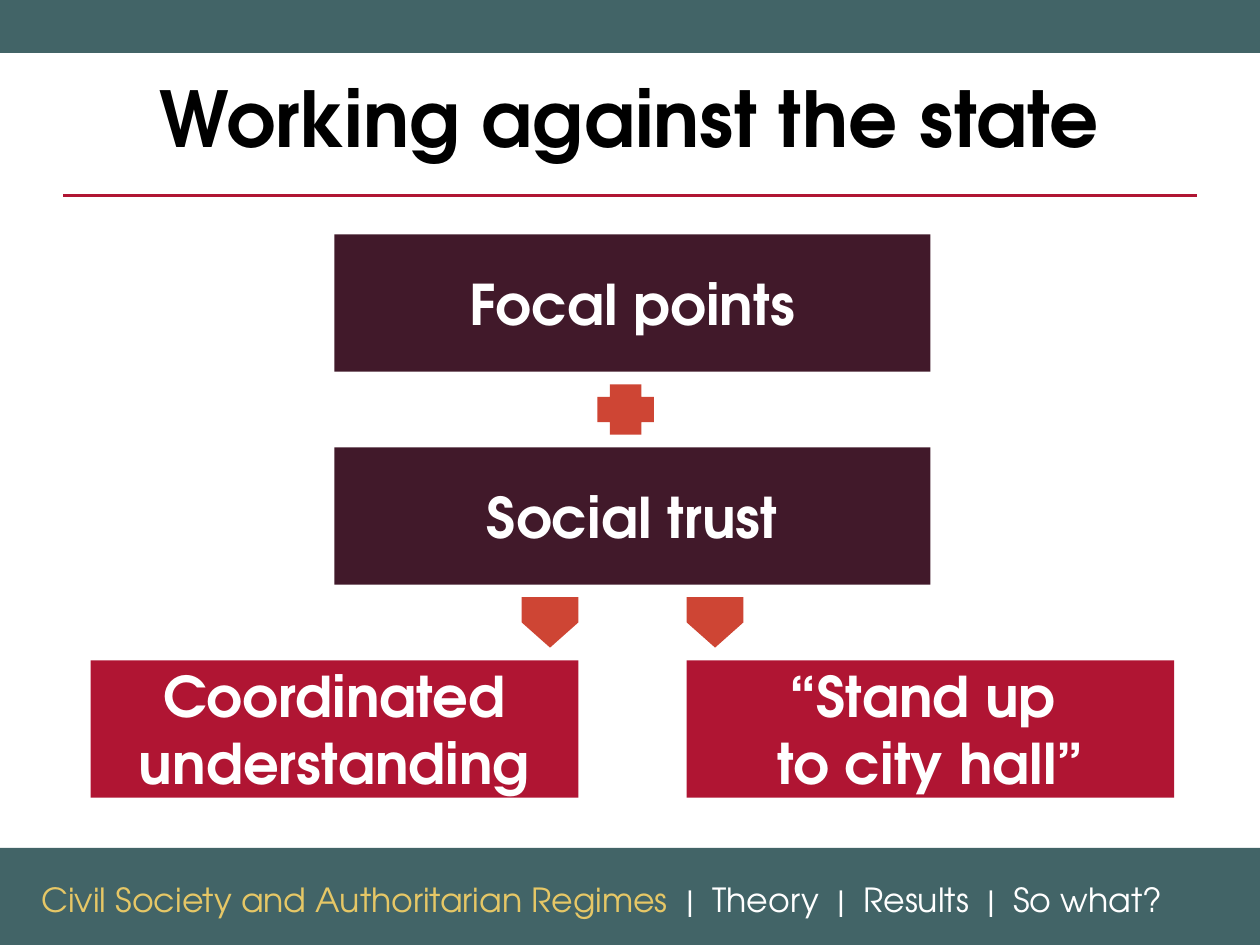
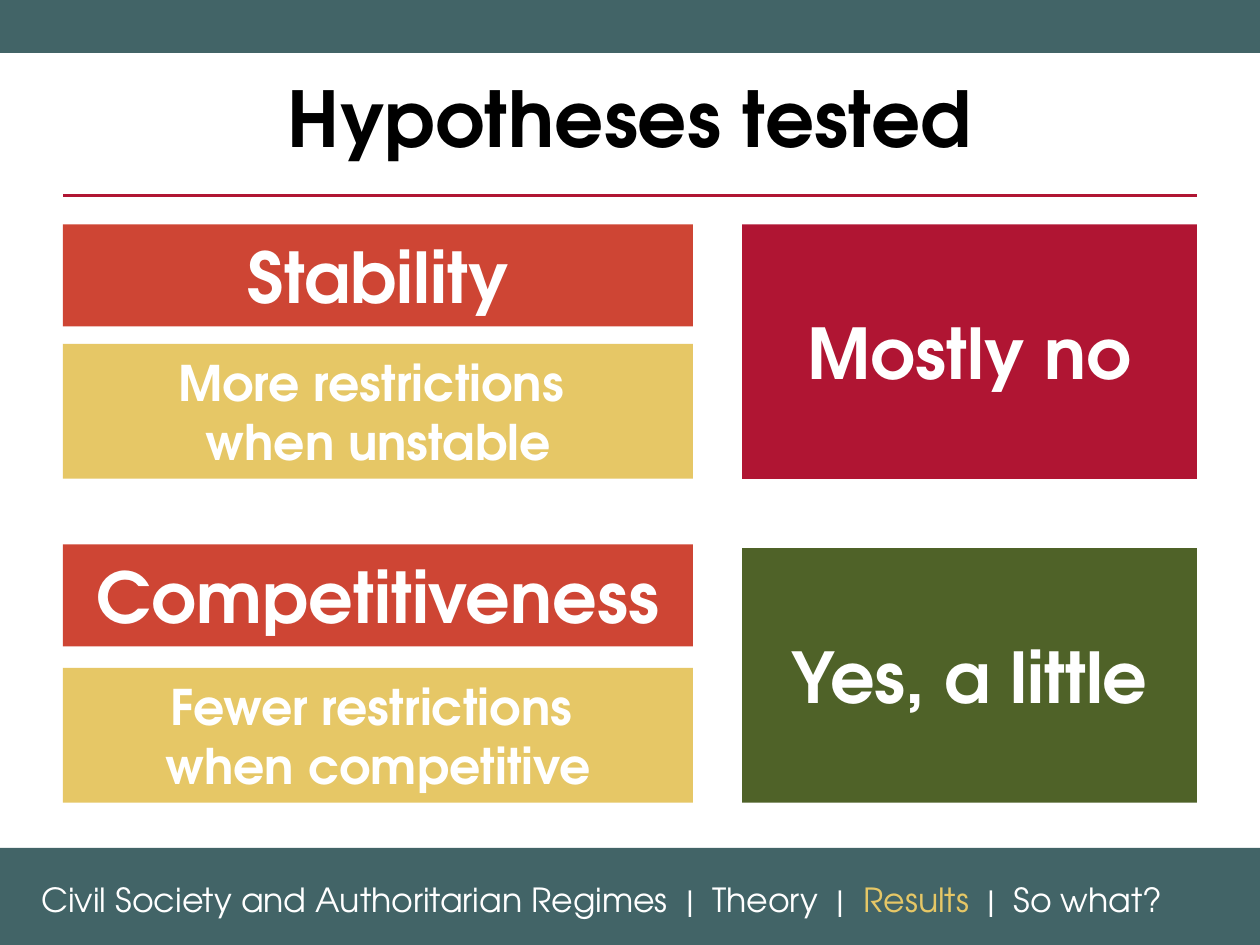
from pptx import Presentation
from pptx import util as u
from pptx.dml.color import RGBColor
from pptx.enum import shapes, text
from pptx.oxml.ns import qn
from lxml import etree

W, H = 10, 7.5
EDGE = 0.05 * W          # side margin
FONT = "TeX Gyre Adventor"
SEP = "  |  "
TEAL, RED, PLUM, RUST = "426467", "B01533", "41192A", "CE4534"
GOLD, GREEN, WHITE, BLACK = "E6C766", "4F6228", "FFFFFF", "000000"
PARTS = ["Civil Society and Authoritarian Regimes", "Theory", "Results", "So what?"]
KIND = shapes.MSO_SHAPE

deck = Presentation()
deck.slide_width, deck.slide_height = u.Inches(W), u.Inches(H)


def write(shape, runs, size, bold=True, align=text.PP_ALIGN.CENTER):
    """Fill a shape with one paragraph of (words, colour) runs."""
    frame = shape.text_frame
    frame.word_wrap = True
    frame.vertical_anchor = text.MSO_ANCHOR.MIDDLE
    para = frame.paragraphs[0]
    para.alignment = align
    for words, tint in runs:
        for i, line in enumerate(words.split("\n")):
            if i:
                para.add_line_break()
            run = para.add_run()
            run.text = line
            look = {"name": FONT, "size": u.Pt(size), "bold": bold}
            for key, value in look.items():
                setattr(run.font, key, value)
            run.font.color.rgb = RGBColor.from_string(tint)


def block(slide, box, fill, words="", size=32, kind=KIND.RECTANGLE, turn=0):
    """Add a flat, borderless shape with white bold text."""
    shape = slide.shapes.add_shape(kind, *map(u.Inches, box))
    shape.shadow.inherit = False
    shape.fill.solid()
    shape.fill.fore_color.rgb = RGBColor.from_string(fill)
    shape.line.fill.background()
    shape.rotation = turn
    if words:
        write(shape, [(words, WHITE)], size)


# Shared frame: bands, rule, title and footer with the current part in gold
pages = []
for title, now in [("Working against the state", PARTS[0]),
                   ("Hypotheses tested", PARTS[2])]:
    slide = deck.slides.add_slide(deck.slide_layouts[6])
    pages.append(slide)
    block(slide, (0, 6.73, W, H - 6.73), TEAL)
    block(slide, (0, 0, W, 0.42), TEAL)

    ends = map(u.Inches, (EDGE, 1.55, W - EDGE, 1.55))
    rule = slide.shapes.add_connector(shapes.MSO_CONNECTOR.STRAIGHT, *ends)
    rule.line.color.rgb = RGBColor.from_string(RED)
    rule.line.width = u.Pt(2)
    etree.SubElement(rule._element.spPr, qn("a:effectLst"))

    head = slide.shapes.add_textbox(*map(u.Inches, (EDGE, 0.3, W - 2 * EDGE, 1.25)))
    write(head, [(title, BLACK)], 44)

    foot = slide.shapes.add_textbox(*map(u.Inches, (0.23, 6.93, 9.56, 0.42)))
    runs = []
    for part in PARTS:
        if runs:
            runs.append((SEP, WHITE))
        runs.append((part, GOLD if part == now else WHITE))
    write(foot, runs, 19, False, text.PP_ALIGN.LEFT)
    look = {"word_wrap": False, "vertical_anchor": text.MSO_ANCHOR.TOP,
            "auto_size": text.MSO_AUTO_SIZE.SHAPE_TO_FIT_TEXT}
    for key, value in look.items():
        setattr(foot.text_frame, key, value)

flow, tests = pages

# Flow: two causes stacked over two outcomes
top, step, tall = 1.86, 1.69, 1.09
left, pitch, wide = 0.72, 4.73, 3.87
long, short = 0.45, 0.4   # sign width and height
mid = left + (pitch + wide) / 2
gap = (step - tall - short) / 2

for row, words in enumerate(["Focal points", "Social trust"]):
    block(flow, (mid - pitch / 2, top + row * step, pitch, tall), PLUM, words)
block(flow, (4.74, top + tall + gap, long, short), RUST, kind=KIND.CROSS)

inner = [left + wide - long, left + pitch]   # arrows sit at the inner edges
shift = (long - short) / 2                   # the arrow frame is turned a quarter
for col, words in enumerate(["Coordinated understanding", "“Stand up \nto city hall”"]):
    block(flow, (left + col * pitch, top + 2 * step, wide, tall), RED, words)
    spot = (inner[col] + shift, top + step + tall + gap - shift, short, long)
    block(flow, spot, RUST, kind=KIND.PENTAGON, turn=90)

# Tests: claim on the left, verdict on the right
top, step, tall = 1.78, 2.57, 2.02
half, side = W / 2, 5.89
rows = [("Stability", 1.78, "More restrictions \nwhen unstable", "Mostly no", RED),
        ("Competitiveness", 4.32, "Fewer restrictions \nwhen competitive",
         "Yes, a little", GREEN)]
for row, (name, start, claim, answer, tint) in enumerate(rows):
    y = top + row * step
    block(tests, (EDGE, start, half, 0.81), RUST, name, 40)
    block(tests, (EDGE, y + 0.95, half, tall - 0.95), GOLD, claim, 28)
    block(tests, (side, y, W - EDGE - side, tall), tint, answer, 40)

deck.save("out.pptx")
